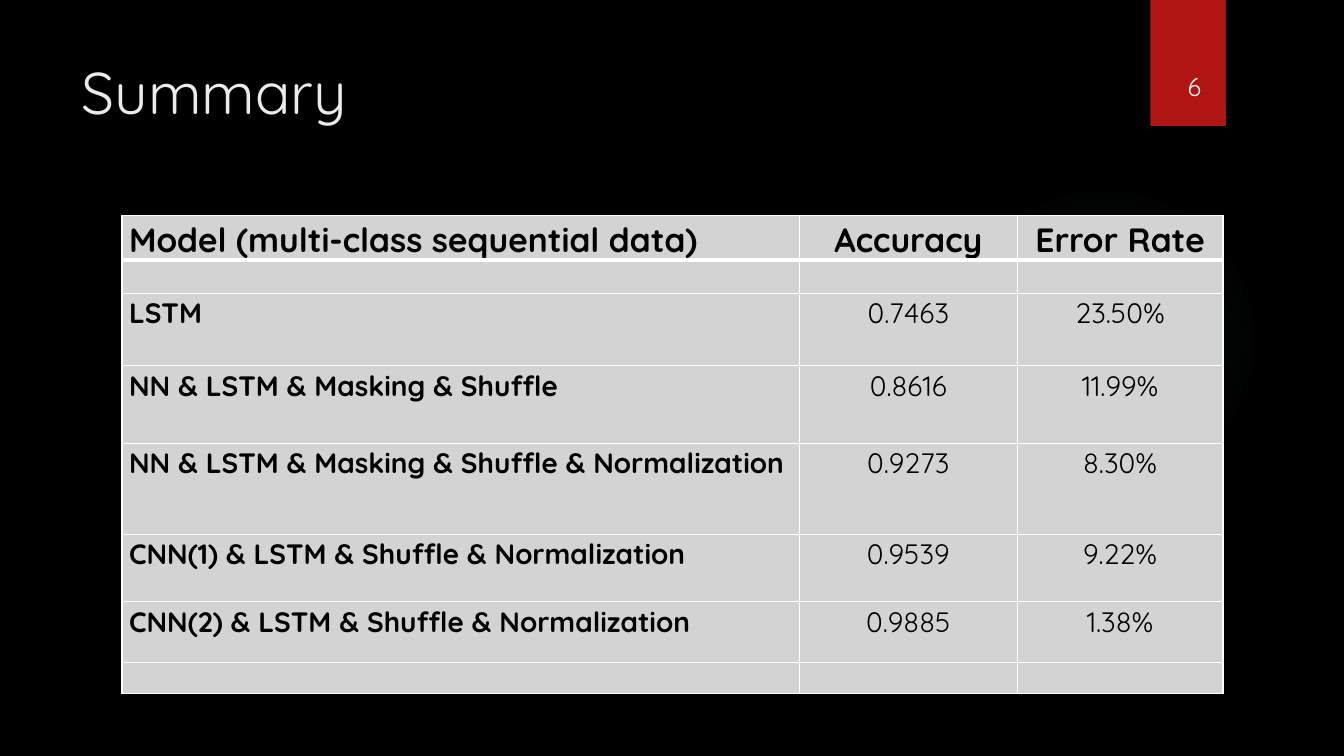
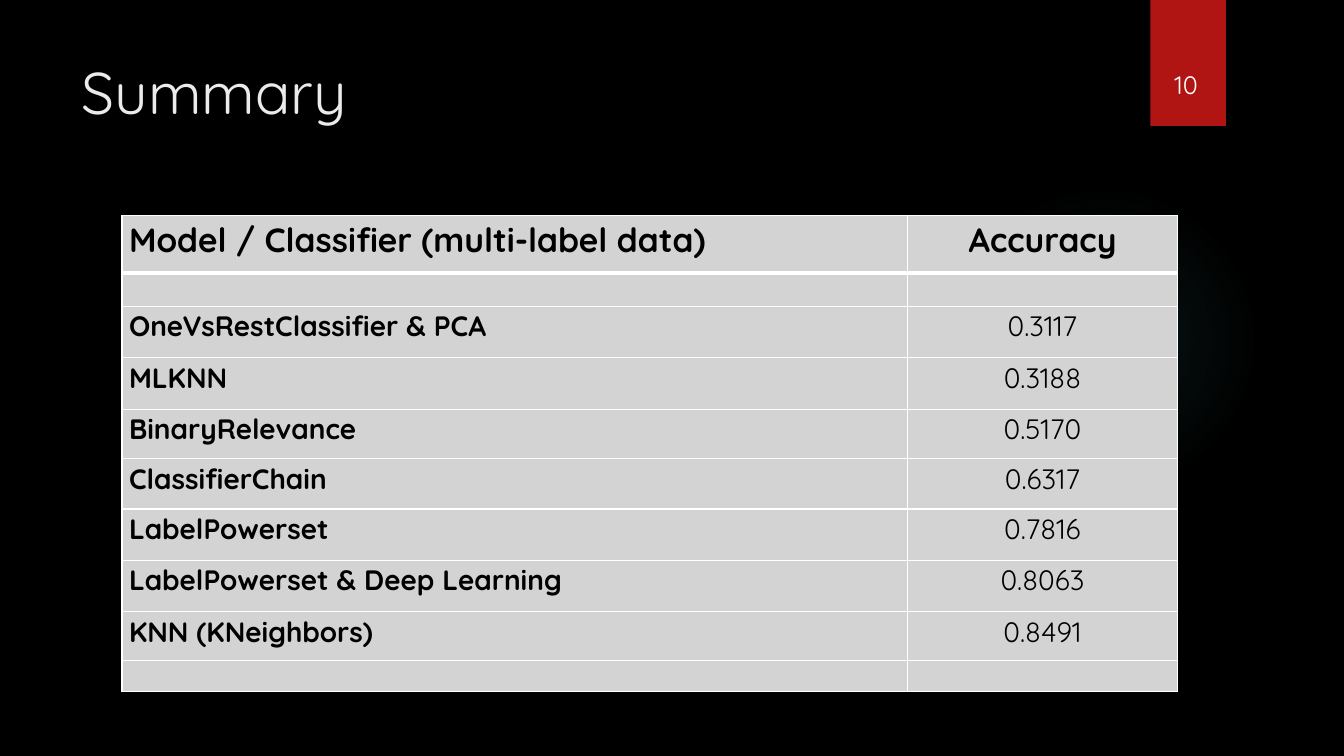
import pptx
import pptx.dml.color
import pptx.enum.shapes
import pptx.enum.text
import pptx.oxml
import pptx.oxml.ns
import pptx.util

Inches = pptx.util.Inches
Pt = pptx.util.Pt
RGBColor = pptx.dml.color.RGBColor
MSO_SHAPE = pptx.enum.shapes.MSO_SHAPE
PP_ALIGN = pptx.enum.text.PP_ALIGN

BLACK = RGBColor(0x00, 0x00, 0x00)
WHITE = RGBColor(0xFF, 0xFF, 0xFF)
TITLE_GREY = RGBColor(0xEB, 0xEB, 0xEB)
CELL_GREY = RGBColor(0xD3, 0xD3, 0xD3)
BAND_RED = RGBColor(0xB0, 0x15, 0x13)
GLOW_TEAL = RGBColor(0x50, 0xB9, 0xC1)

FONT = "Quicksand"
TITLE_FONT = {"name": FONT, "size": Pt(42)}
NUMBER_FONT = {"name": FONT, "size": Pt(18)}
HEADER_FONT = {"name": FONT, "size": Pt(24), "bold": True}
MODEL_FONT = {"name": FONT, "size": Pt(20), "bold": True}
SCORE_FONT = {"name": FONT, "size": Pt(20), "bold": False}
CELL_MARGINS = {
    "margin_left": Inches(0.07),
    "margin_right": Inches(0.07),
    "margin_top": 0,
    "margin_bottom": 0,
}
GLOW_STOPS = [(0, 7), (36, 6), (69, 0)]  # position and opacity in percent
TABLE_LEFT, TABLE_TOP = 1.21, 2.14
RULE, HEADER_RULE = 1, 3  # points

SEQUENTIAL_ROWS = [
    ("Model (multi-class sequential data)", "Accuracy", "Error Rate"),
    ("", "", ""),
    ("LSTM", "0.7463", "23.50%"),
    ("NN & LSTM & Masking & Shuffle", "0.8616", "11.99%"),
    ("NN & LSTM & Masking & Shuffle & Normalization", "0.9273", "8.30%"),
    ("CNN(1) & LSTM & Shuffle & Normalization", "0.9539", "9.22%"),
    ("CNN(2) & LSTM & Shuffle & Normalization", "0.9885", "1.38%"),
    ("", "", ""),
]
MULTI_LABEL_ROWS = [
    ("Model / Classifier (multi-label data)", "Accuracy"),
    ("", ""),
    ("OneVsRestClassifier & PCA", "0.3117"),
    ("MLKNN", "0.3188"),
    ("BinaryRelevance", "0.5170"),
    ("ClassifierChain", "0.6317"),
    ("LabelPowerset", "0.7816"),
    ("LabelPowerset & Deep Learning", "0.8063"),
    ("KNN (KNeighbors)", "0.8491"),
    ("", ""),
]


def apply_format(target, values):
    for name, value in values.items():
        setattr(target, name, value)


def write(paragraph, text, font_format, color):
    run = paragraph.add_run()
    run.text = text
    apply_format(run.font, font_format)
    run.font.color.rgb = color


def add_plain_shape(slide, kind, left, top, width, height):
    shape = slide.shapes.add_shape(
        kind, Inches(left), Inches(top), Inches(width), Inches(height))
    shape.shadow.inherit = False
    shape.line.fill.background()
    return shape


def add_glow(slide):
    glow = add_plain_shape(slide, MSO_SHAPE.OVAL, 9.41, 1.83, 3.08, 3.08)
    stops = "".join(
        f'<a:gs pos="{position * 1000}"><a:srgbClr val="{GLOW_TEAL}">'
        f'<a:alpha val="{opacity * 1000}"/></a:srgbClr></a:gs>'
        for position, opacity in GLOW_STOPS)
    gradient = pptx.oxml.parse_xml(
        f'<a:gradFill {pptx.oxml.ns.nsdecls("a")} rotWithShape="1">'
        f'<a:gsLst>{stops}</a:gsLst><a:path path="circle">'
        '<a:fillToRect l="50000" t="50000" r="50000" b="50000"/>'
        '</a:path></a:gradFill>')
    outline = glow.element.spPr.find(pptx.oxml.ns.qn("a:ln"))
    outline.addprevious(gradient)


def add_number(slide, number, left, top, width):
    band = add_plain_shape(slide, MSO_SHAPE.RECTANGLE, 11.41, 0, 0.75, 1.25)
    band.fill.solid()
    band.fill.fore_color.rgb = BAND_RED
    label = slide.shapes.add_textbox(
        Inches(left), Inches(top), Inches(width), Inches(0.4))
    label.text_frame.word_wrap = True
    write(label.text_frame.paragraphs[0], number, NUMBER_FONT, WHITE)


def set_title(slide, text):
    title = slide.shapes.title
    apply_format(title, {"left": Inches(0.71), "top": Inches(0.5),
                         "width": Inches(10.29), "height": Inches(1.53)})
    title.text_frame.vertical_anchor = pptx.enum.text.MSO_ANCHOR.TOP
    paragraph = title.text_frame.paragraphs[0]
    paragraph.alignment = PP_ALIGN.LEFT
    write(paragraph, text, TITLE_FONT, TITLE_GREY)


def set_borders(cell, top, bottom):
    """Draw white cell borders; top and bottom widths are in points."""
    widths = {"lnL": RULE, "lnR": RULE, "lnT": top, "lnB": bottom}
    properties = cell._tc.get_or_add_tcPr()
    for index, (side, width) in enumerate(widths.items()):
        properties.insert(index, pptx.oxml.parse_xml(
            f'<a:{side} {pptx.oxml.ns.nsdecls("a")} w="{Pt(width)}">'
            f'<a:solidFill><a:srgbClr val="{WHITE}"/></a:solidFill></a:{side}>'))


def fill_cell(cell, text, row, column):
    apply_format(cell, CELL_MARGINS)
    cell.fill.solid()
    cell.fill.fore_color.rgb = CELL_GREY
    set_borders(cell,
                top=HEADER_RULE if row == 1 else RULE,
                bottom=HEADER_RULE if row == 0 else RULE)
    if not text:
        return
    paragraph = cell.text_frame.paragraphs[0]
    paragraph.line_spacing = 1.07
    paragraph.alignment = PP_ALIGN.CENTER if column else PP_ALIGN.LEFT
    body_font = SCORE_FONT if column else MODEL_FONT
    write(paragraph, text, body_font if row else HEADER_FONT, BLACK)


def add_score_table(slide, rows, widths, heights):
    table = slide.shapes.add_table(
        len(rows), len(widths), Inches(TABLE_LEFT), Inches(TABLE_TOP),
        Inches(sum(widths)), Inches(sum(heights))).table
    table.horz_banding = False
    for column, width in zip(table.columns, widths):
        column.width = Inches(width)
    for row, height in zip(table.rows, heights):
        row.height = Inches(height)
    for row, texts in enumerate(rows):
        for column, text in enumerate(texts):
            fill_cell(table.cell(row, column), text, row, column)


def add_summary_slide(presentation, number, number_box, rows, widths, heights):
    slide = presentation.slides.add_slide(presentation.slide_layouts[5])
    add_glow(slide)
    set_title(slide, "Summary")
    add_number(slide, number, *number_box)
    add_score_table(slide, rows, widths, heights)


def main():
    presentation = pptx.Presentation()
    presentation.slide_width = Inches(13.33)
    presentation.slide_height = Inches(7.5)
    background = presentation.slide_master.background.fill
    background.solid()
    background.fore_color.rgb = BLACK

    add_summary_slide(
        presentation, "6", (11.68, 0.66, 0.45), SEQUENTIAL_ROWS,
        widths=[6.72, 2.16, 2.04],
        heights=[0.44, 0.33, 0.72, 0.77, 0.9, 0.67, 0.6, 0.31])
    add_summary_slide(
        presentation, "10", (11.55, 0.64, 0.55), MULTI_LABEL_ROWS,
        widths=[7.79, 2.68],
        heights=[0.57, 0.33, 0.51, 0.51, 0.49, 0.5, 0.51, 0.51, 0.48, 0.31])
    presentation.save("out.pptx")


if __name__ == "__main__":
    main()
